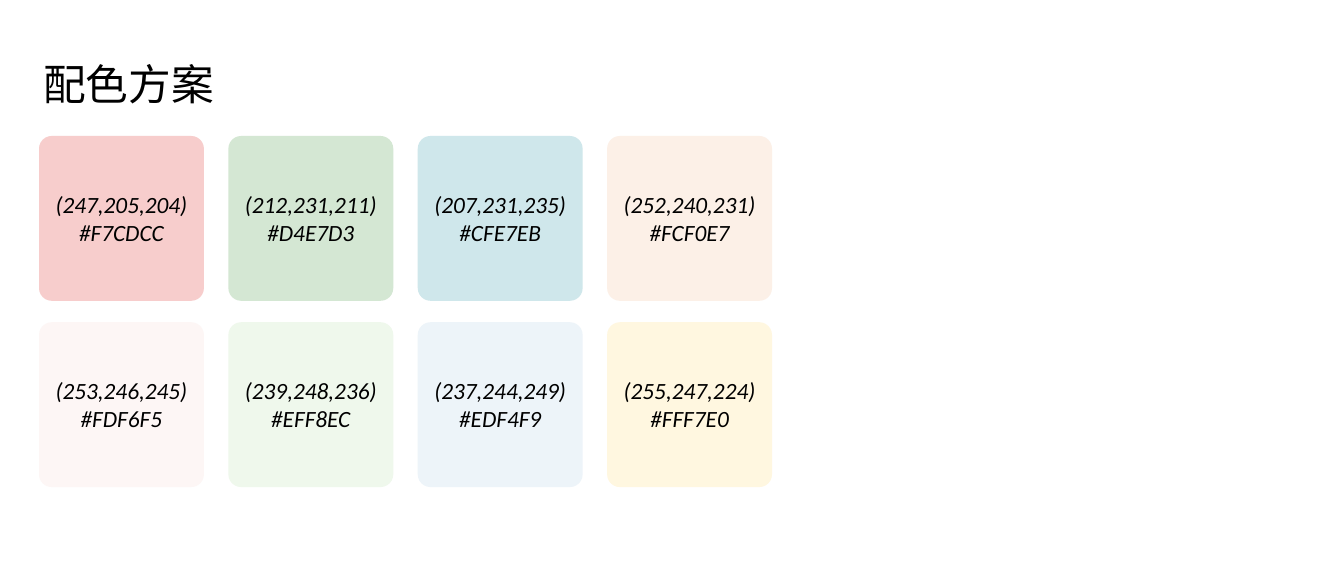
from dataclasses import dataclass

from lxml import etree
from pptx import Presentation
from pptx.dml.color import RGBColor
from pptx.enum import shapes, text
from pptx.oxml import ns
from pptx.slide import Slide
from pptx.util import Cm, Pt


@dataclass(frozen=True)
class Theme:
    ink: RGBColor = RGBColor(0, 0, 0)
    paper: RGBColor = RGBColor(255, 255, 255)
    heading_font: str = "Noto Sans CJK SC"
    label_font: str = "Calibri"
    heading_size: int = 44
    label_size: int = 24


@dataclass(frozen=True)
class Swatch:
    code: str
    row: int
    column: int

    @property
    def color(self) -> RGBColor:
        return RGBColor.from_string(self.code)

    @property
    def label(self) -> str:
        red, green, blue = self.color
        return f"({red},{green},{blue})\n#{self.code}"


THEME = Theme()
PALETTE = (
    ("F7CDCC", "D4E7D3", "CFE7EB", "FCF0E7"),
    ("FDF6F5", "EFF8EC", "EDF4F9", "FFF7E0"),
)
SWATCH_SIDE = 6.0
GRID_LEFT, GRID_TOP = 1.42, 4.95
COLUMN_STEP, ROW_STEP = 6.89, 6.78
CORNER_RATIO = 0.077


def add_heading(slide: Slide, wording: str) -> None:
    heading = slide.shapes.title
    heading.left, heading.top = Cm(1.32), Cm(1.98)
    heading.width, heading.height = Cm(16.31), Cm(2.13)
    frame = heading.text_frame
    frame.text = wording
    frame.auto_size = text.MSO_AUTO_SIZE.NONE
    frame.vertical_anchor = text.MSO_ANCHOR.MIDDLE
    line = frame.paragraphs[0]
    line.alignment = text.PP_ALIGN.LEFT
    font = line.runs[0].font
    font.name = THEME.heading_font
    font.size = Pt(THEME.heading_size)
    font.color.rgb = THEME.ink
    east_asian = etree.Element(ns.qn("a:ea"), typeface=THEME.heading_font)
    line.runs[0].font._element.find(ns.qn("a:latin")).addnext(east_asian)


def add_swatch(slide: Slide, swatch: Swatch) -> None:
    card = slide.shapes.add_shape(
        shapes.MSO_SHAPE.ROUNDED_RECTANGLE,
        Cm(GRID_LEFT + swatch.column * COLUMN_STEP),
        Cm(GRID_TOP + swatch.row * ROW_STEP),
        Cm(SWATCH_SIDE),
        Cm(SWATCH_SIDE),
    )
    card.adjustments[0] = CORNER_RATIO
    card.shadow.inherit = False
    card.fill.solid()
    card.fill.fore_color.rgb = swatch.color
    card.line.fill.background()
    frame = card.text_frame
    frame.text = swatch.label
    frame.word_wrap = True
    frame.vertical_anchor = text.MSO_ANCHOR.MIDDLE
    for line in frame.paragraphs:
        line.alignment = text.PP_ALIGN.CENTER
        line.font.name = THEME.label_font
        line.font.size = Pt(THEME.label_size)
        line.font.italic = True
        line.font.color.rgb = THEME.ink


def main() -> None:
    deck = Presentation()
    deck.slide_width, deck.slide_height = Cm(48.9), Cm(20.93)
    slide = deck.slides.add_slide(deck.slide_layouts.get_by_name("Title Only"))
    slide.background.fill.solid()
    slide.background.fill.fore_color.rgb = THEME.paper
    add_heading(slide, "配色方案")
    for row, codes in enumerate(PALETTE):
        for column, code in enumerate(codes):
            add_swatch(slide, Swatch(code, row, column))
    deck.save("out.pptx")


if __name__ == "__main__":
    main()
